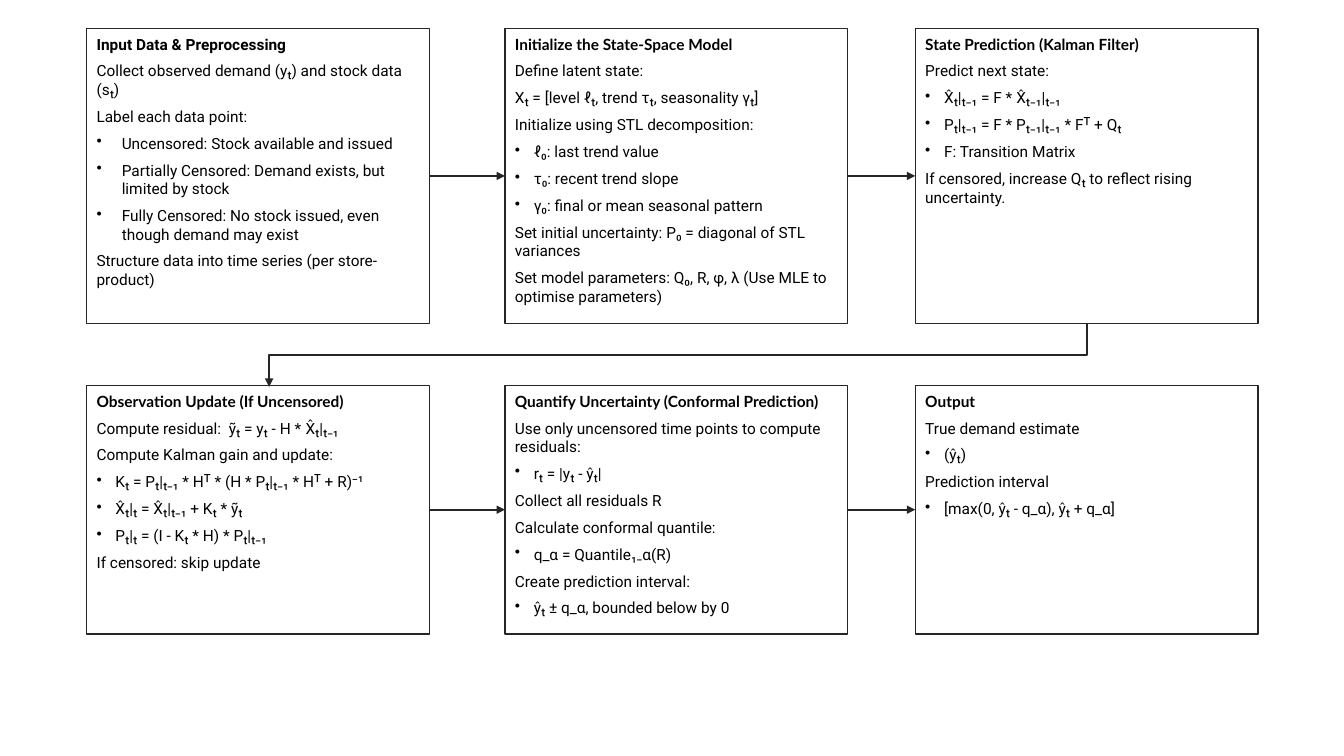
import pptx
import pptx.util
import pptx.dml.color
import pptx.enum.shapes
import pptx.enum.text
import pptx.oxml
import pptx.oxml.ns

Pt = pptx.util.Pt
qn = pptx.oxml.ns.qn
BLACK = pptx.dml.color.RGBColor(0x00, 0x00, 0x00)
DARK = pptx.dml.color.RGBColor(0x26, 0x26, 0x26)
BODY_FONT = "Roboto"

# Steps in reading order: title, title font, text width and height, bullet indent, lines.
# A line that starts with "• " is a bullet.
STEPS = [
    ("Input Data & Preprocessing", "Roboto", 244.8, 152.6, 18, [
        "Collect observed demand (yₜ) and stock data (sₜ)",
        "Label each data point:",
        "• Uncensored: Stock available and issued",
        "• Partially Censored: Demand exists, but limited by stock",
        "• Fully Censored: No stock issued, even though demand may exist",
        "Structure data into time series (per store-product)",
    ]),
    ("Initialize the State-Space Model", "Lato", 244.8, 188.6, 13.5, [
        "Define latent state:",
        "Xₜ = [level ℓₜ, trend τₜ, seasonality γₜ]",
        "Initialize using STL decomposition:",
        "• ℓ₀: last trend value",
        "• τ₀: recent trend slope",
        "• γ₀: final or mean seasonal pattern",
        "Set initial uncertainty: P₀ = diagonal of STL variances",
        "Set model parameters: Q₀, R, φ, λ (Use MLE to optimise parameters)",
    ]),
    ("State Prediction (Kalman Filter)", "Lato", 244.8, 122.4, 13.5, [
        "Predict next state:",
        "• X̂ₜ|ₜ₋₁ = F * X̂ₜ₋₁|ₜ₋₁",
        "• Pₜ|ₜ₋₁ = F * Pₜ₋₁|ₜ₋₁ * Fᵀ + Qₜ",
        "• F: Transition Matrix",
        "If censored, increase Qₜ to reflect rising uncertainty.",
    ]),
    ("Observation Update (If Uncensored)", "Lato", 260.6, 127.4, 13.5, [
        "Compute residual:  ỹₜ = yₜ - H * X̂ₜ|ₜ₋₁",
        "Compute Kalman gain and update:",
        "• Kₜ = Pₜ|ₜ₋₁ * Hᵀ * (H * Pₜ|ₜ₋₁ * Hᵀ + R)⁻¹",
        "• X̂ₜ|ₜ = X̂ₜ|ₜ₋₁ + Kₜ * ỹₜ",
        "• Pₜ|ₜ = (I - Kₜ * H) * Pₜ|ₜ₋₁",
        "If censored: skip update",
    ]),
    ("Quantify Uncertainty (Conformal Prediction)", "Lato", 244.8, 158.4, 13.5, [
        "Use only uncensored time points to compute residuals:",
        "• rₜ = |yₜ - ŷₜ|",
        "Collect all residuals R",
        "Calculate conformal quantile:",
        "• q_α = Quantile₁₋α(R)",
        "Create prediction interval:",
        "• ŷₜ ± q_α, bounded below by 0",
    ]),
    ("Output", "Lato", 244.8, 91.4, 13.5, [
        "True demand estimate",
        "• (ŷₜ)",
        "Prediction interval",
        "• [max(0, ŷₜ - q_α), ŷₜ + q_α]",
    ]),
]
COLUMNS = [61.9, 360.7, 653.8]
ROWS = [(20.2, 211), (275.3, 177.6)]  # top, height
BOX_W = 244.8
TEXT_DROP = 1
ENTRY_X = 192.2  # where the return arrow meets the second row


def add_line(tf, text, font, bold=False, indent=0):
    p = tf.paragraphs[0] if not tf.paragraphs[0].runs else tf.add_paragraph()
    p.space_after = Pt(6)
    if text.startswith("• "):
        text = text[2:]
        pPr = p._p.get_or_add_pPr()
        pPr.set("marL", str(Pt(indent)))
        pPr.set("indent", str(-Pt(indent)))
        bullet = pptx.oxml.parse_xml(
            '<a:buChar xmlns:a="http://schemas.openxmlformats.org/drawingml/2006/main" char="•"/>')
        pPr.append(bullet)
    r = p.add_run()
    r.text = text
    r.font.name, r.font.size, r.font.bold = font, Pt(11), bold
    r.font.color.rgb = BLACK


def add_step(s, x, y, h, step):
    title, title_font, text_w, text_h, indent, lines = step
    tb = s.shapes.add_textbox(Pt(x), Pt(y + TEXT_DROP), Pt(text_w), Pt(text_h))
    tf = tb.text_frame
    tf.word_wrap = True
    tf.auto_size = pptx.enum.text.MSO_AUTO_SIZE.SHAPE_TO_FIT_TEXT
    add_line(tf, title, title_font, bold=True)
    for line in lines:
        add_line(tf, line, BODY_FONT, indent=indent)

    box = s.shapes.add_shape(pptx.enum.shapes.MSO_SHAPE.RECTANGLE,
                             Pt(x), Pt(y), Pt(BOX_W), Pt(h))
    box.shadow.inherit = False
    box.fill.background()
    box.line.color.rgb = DARK
    box.line.width = Pt(1)


def add_arrow(s, kind, x1, y1, x2, y2):
    c = s.shapes.add_connector(kind, Pt(x1), Pt(y1), Pt(x2), Pt(y2))
    c.line.color.rgb = DARK
    c.line.width = Pt(1.5)
    ln = c.line._get_or_add_ln()
    ln.append(ln.makeelement(qn("a:tailEnd"), {"type": "triangle"}))
    spPr = c._element.spPr
    spPr.append(spPr.makeelement(qn("a:effectLst"), {}))
    return c


def add_return_arrow(s, x1, y1, x2, y2):
    """Down, left and down again: an elbow turned a quarter about its centre."""
    cx, cy = (x1 + x2) / 2, (y1 + y2) / 2
    half_w, half_h = (y2 - y1) / 2, (x1 - x2) / 2
    c = add_arrow(s, pptx.enum.shapes.MSO_CONNECTOR.ELBOW,
                  cx - half_w, cy - half_h, cx + half_w, cy + half_h)
    c._element.spPr.find(qn("a:xfrm")).set("rot", str(90 * 60000))


def main():
    prs = pptx.Presentation()
    prs.slide_width, prs.slide_height = Pt(960), Pt(540)
    s = prs.slides.add_slide(prs.slide_layouts[6])

    for i, step in enumerate(STEPS):
        row, col = divmod(i, len(COLUMNS))
        add_step(s, COLUMNS[col], *ROWS[row], step)

    for y, h in ROWS:
        for left, right in zip(COLUMNS, COLUMNS[1:]):
            add_arrow(s, pptx.enum.shapes.MSO_CONNECTOR.STRAIGHT,
                      left + BOX_W, y + h / 2, right, y + h / 2)

    add_return_arrow(s, COLUMNS[-1] + BOX_W / 2, sum(ROWS[0]),
                     ENTRY_X, ROWS[1][0] + TEXT_DROP)
    prs.save("out.pptx")


if __name__ == "__main__":
    main()
